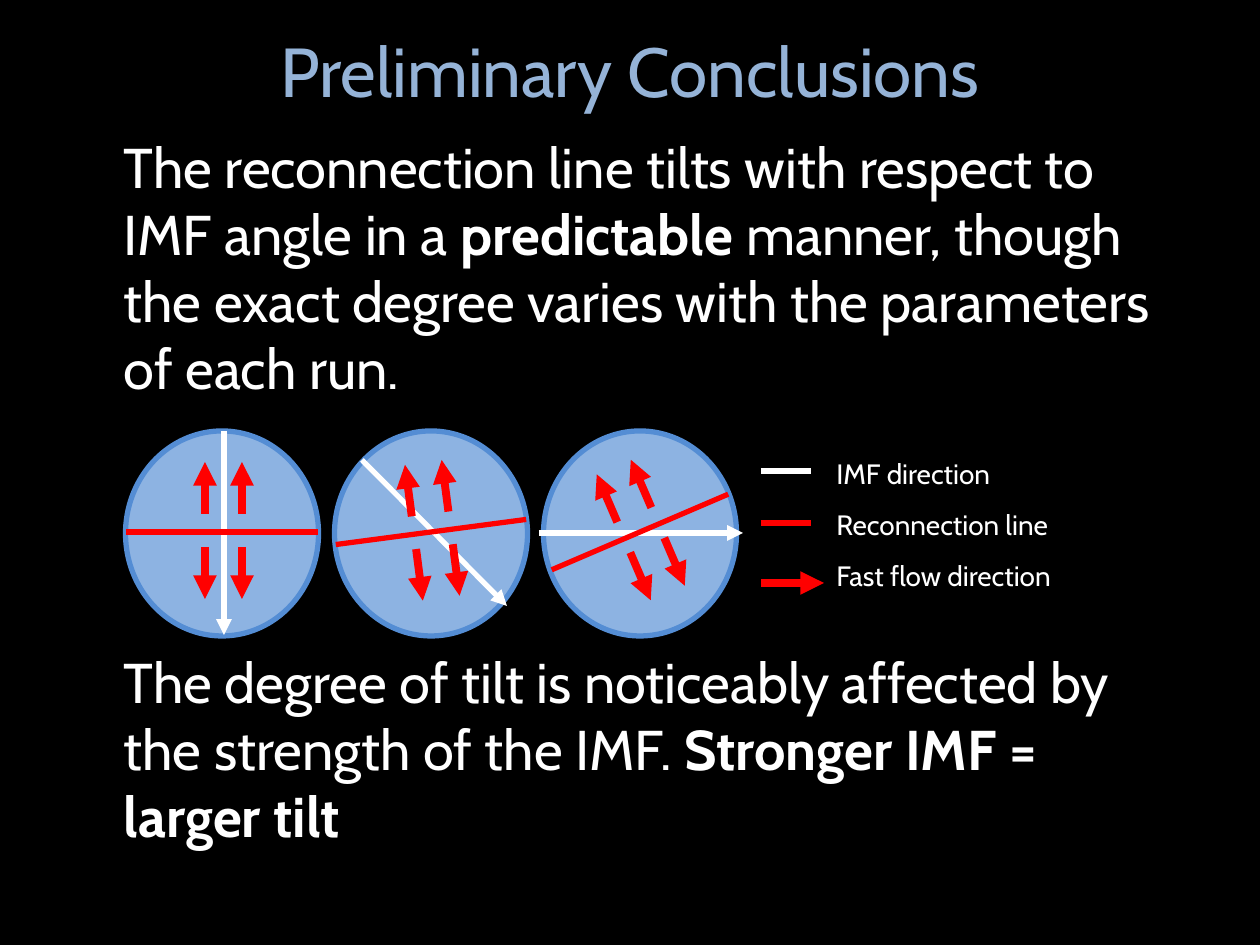
"""Build the Preliminary Conclusions slide with three tilted reconnection dials."""
from dataclasses import dataclass
from math import cos, radians, sin

from pptx import Presentation
from pptx.dml.color import RGBColor
from pptx.enum.shapes import MSO_CONNECTOR, MSO_SHAPE
from pptx.enum.text import MSO_ANCHOR, MSO_AUTO_SIZE, PP_ALIGN
from pptx.oxml.ns import qn
from pptx.slide import Slide
from pptx.text.text import _Paragraph
from pptx.util import Emu, Pt
from lxml.etree import SubElement

FONT = "Cabin"
BLACK = RGBColor(0x00, 0x00, 0x00)
WHITE = RGBColor(0xFF, 0xFF, 0xFF)
RED = RGBColor(0xFF, 0x00, 0x00)
TITLE_BLUE = RGBColor(0x95, 0xB3, 0xD7)
DIAL_FILL = RGBColor(0x8D, 0xB3, 0xE2)
DIAL_EDGE = RGBColor(0x54, 0x8D, 0xD4)

EMU_PER_PX = 914400 / 126
DIAL_WIDTH, DIAL_HEIGHT, DIAL_TOP = 193, 205, 431
PIVOT_Y = 532
HALF_LINE = 96
FLOW_OFFSETS = (-17, 20)
FLOW_SPANS = ((15, 67), (-18, -70))

Point = tuple[float, float]


@dataclass(frozen=True)
class Dial:
    center_x: int
    tilt: float
    imf_start: Point
    imf_end: Point


@dataclass(frozen=True)
class LegendEntry:
    label: str
    y: int
    length: int
    color: RGBColor
    width: float
    arrow: bool


@dataclass(frozen=True)
class Conclusion:
    runs: tuple[tuple[str, bool], ...]
    space_before: float


DIALS = (
    Dial(222, 0, (224, 431), (224, 635)),
    Dial(431, 7.5, (362, 460), (507, 606)),
    Dial(640, 23.2, (539, 533), (743, 533)),
)
LEGEND = (
    LegendEntry("IMF direction", 471, 50, WHITE, 3, False),
    LegendEntry("Reconnection line", 523, 50, RED, 3, False),
    LegendEntry("Fast flow direction", 583, 63, RED, 4.5, True),
)
CONCLUSIONS = (
    Conclusion((
        ("The reconnection line tilts with respect to IMF angle in a ", False),
        ("predictable", True),
        (" manner, though the exact degree varies with the parameters of each run.", False),
    ), 0),
    Conclusion((
        ("The degree of tilt is noticeably affected by the strength of the IMF. ", False),
        ("Stronger IMF = larger tilt", True),
    ), 140.6),
)


def px(value: float) -> Emu:
    """Turn pixels into EMU."""
    return Emu(round(value * EMU_PER_PX))


def place(shape, left: int, top: int, width: int, height: int) -> None:
    """Move and size a shape in pixels."""
    shape.left, shape.top, shape.width, shape.height = map(px, (left, top, width, height))


def style(paragraph: _Paragraph, size: float, color: RGBColor) -> None:
    """Set the font of a whole paragraph."""
    paragraph.font.name = FONT
    paragraph.font.size = Pt(size)
    paragraph.font.color.rgb = color


def draw_line(slide: Slide, start: Point, end: Point, color: RGBColor,
              width: float, arrow: bool = False) -> None:
    """Draw a straight line, with an arrowhead at its end if wanted."""
    connector = slide.shapes.add_connector(
        MSO_CONNECTOR.STRAIGHT, *map(px, (*start, *end)))
    connector.line.color.rgb = color
    connector.line.width = Pt(width)
    if arrow:
        SubElement(connector.line._get_or_add_ln(), qn("a:tailEnd"), type="triangle")
    SubElement(connector._element.spPr, qn("a:effectLst"))


def draw_dial(slide: Slide, dial: Dial) -> None:
    """Draw a dial with its IMF arrow, reconnection line and flow arrows."""
    tilt = radians(dial.tilt)

    def turned(x: float, y: float) -> Point:
        """Turn an offset from the pivot by the tilt of the dial."""
        return (dial.center_x + x * cos(tilt) + y * sin(tilt),
                PIVOT_Y - x * sin(tilt) + y * cos(tilt))

    globe = slide.shapes.add_shape(
        MSO_SHAPE.OVAL, px(dial.center_x - DIAL_WIDTH / 2), px(DIAL_TOP),
        px(DIAL_WIDTH), px(DIAL_HEIGHT))
    globe.shadow.inherit = False
    globe.fill.solid()
    globe.fill.fore_color.rgb = DIAL_FILL
    globe.line.color.rgb = DIAL_EDGE
    globe.line.width = Pt(3)
    draw_line(slide, dial.imf_start, dial.imf_end, WHITE, 3, True)
    draw_line(slide, turned(-HALF_LINE, 0), turned(HALF_LINE, 0), RED, 3)
    for near, far in FLOW_SPANS:
        for offset in FLOW_OFFSETS:
            draw_line(slide, turned(offset, near), turned(offset, far), RED, 4.5, True)


def draw_legend(slide: Slide) -> None:
    """Draw the legend keys and their labels."""
    for entry in LEGEND:
        draw_line(slide, (761, entry.y), (761 + entry.length, entry.y),
                  entry.color, entry.width, entry.arrow)
    box = slide.shapes.add_textbox(px(824), px(450), px(261), px(175))
    box.fill.solid()
    box.fill.fore_color.rgb = BLACK
    frame = box.text_frame
    frame.word_wrap = True
    frame.text = "\n".join(entry.label for entry in LEGEND)
    for paragraph in frame.paragraphs:
        paragraph.space_after = Pt(10)
        style(paragraph, 16, WHITE)


def write_title(slide: Slide) -> None:
    """Fill the title placeholder."""
    title = slide.shapes.title
    place(title, 63, 21, 1134, 98)
    frame = title.text_frame
    frame.text = "Preliminary Conclusions"
    frame.auto_size = MSO_AUTO_SIZE.NONE
    frame.vertical_anchor = MSO_ANCHOR.MIDDLE
    frame.paragraphs[0].alignment = PP_ALIGN.CENTER
    style(frame.paragraphs[0], 39.6, TITLE_BLUE)


def write_conclusions(slide: Slide) -> None:
    """Fill the body placeholder with the conclusions around the dials."""
    body = slide.placeholders[1]
    place(body, 63, 126, 1134, 756)
    frame = body.text_frame
    frame.auto_size = MSO_AUTO_SIZE.NONE
    for index, conclusion in enumerate(CONCLUSIONS):
        paragraph = frame.add_paragraph() if index else frame.paragraphs[0]
        properties = paragraph._p.get_or_add_pPr()
        properties.set("marL", str(px(48)))
        properties.set("indent", "0")
        SubElement(properties, qn("a:buNone"))
        paragraph.space_before = Pt(conclusion.space_before)
        style(paragraph, 32, WHITE)
        for text, bold in conclusion.runs:
            run = paragraph.add_run()
            run.text = text
            run.font.bold = bold


def main() -> None:
    """Build and save the presentation."""
    presentation = Presentation()
    presentation.slide_width, presentation.slide_height = px(1260), px(945)
    slide = presentation.slides.add_slide(presentation.slide_layouts[1])
    slide.background.fill.solid()
    slide.background.fill.fore_color.rgb = BLACK
    write_title(slide)
    write_conclusions(slide)
    for dial in DIALS:
        draw_dial(slide, dial)
    draw_legend(slide)
    presentation.save("out.pptx")


if __name__ == "__main__":
    main()
